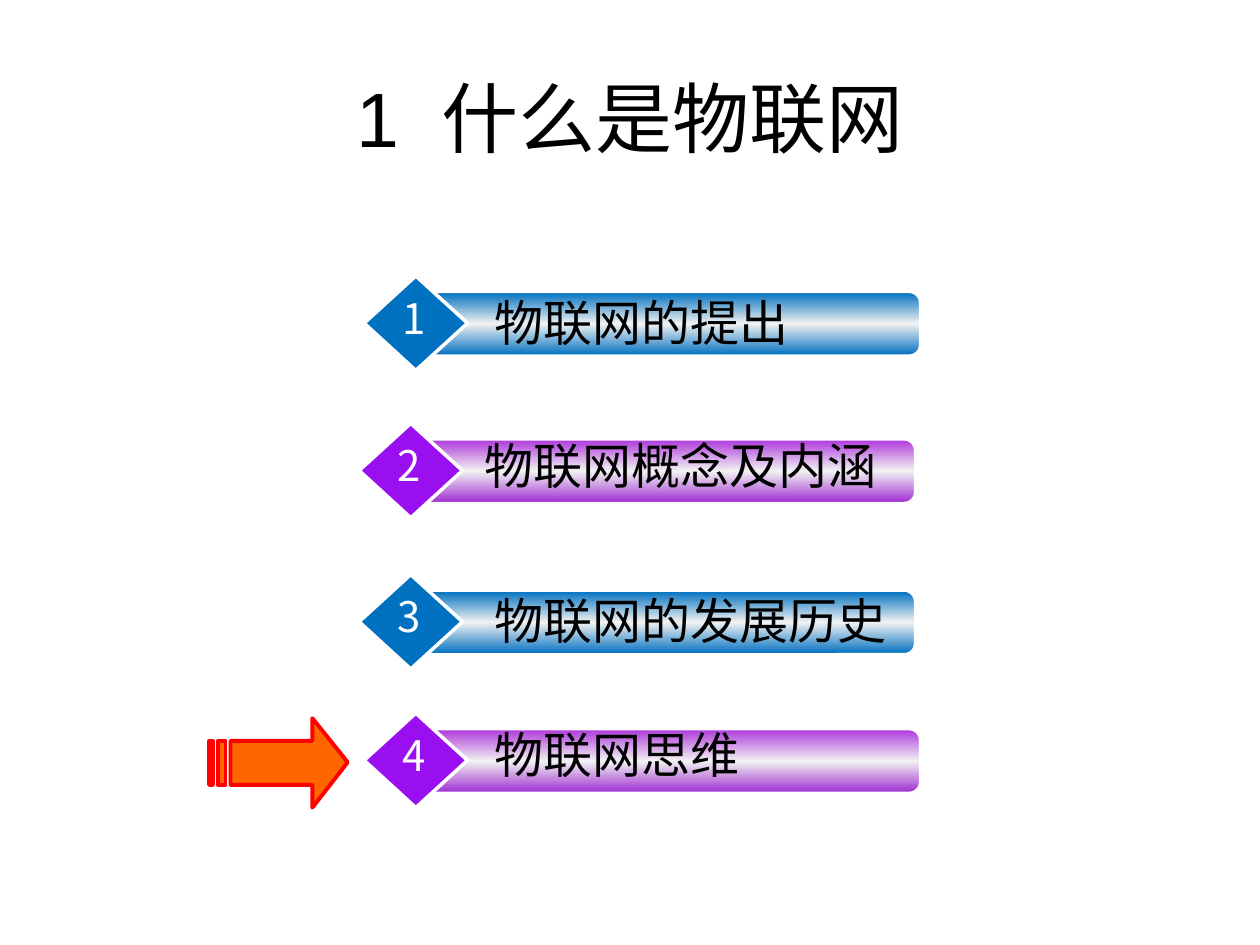
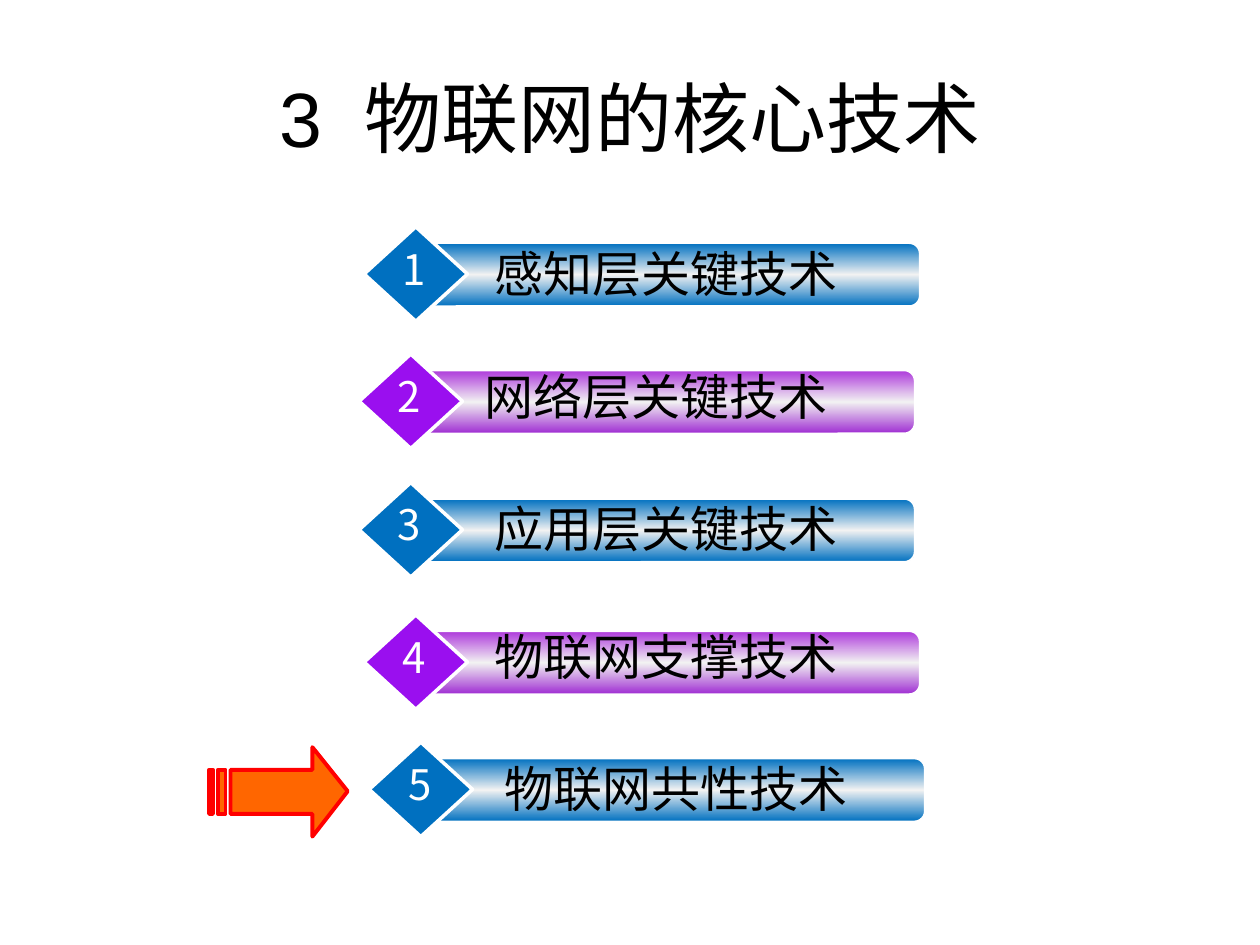
import copy

import pptx
import pptx.dml.color
import pptx.enum.shapes
import pptx.enum.text
import pptx.oxml
import pptx.oxml.ns
import pptx.util

Inches = pptx.util.Inches
Pt = pptx.util.Pt
SHAPE = pptx.enum.shapes.MSO_SHAPE

COLOURS = {
    "text": "000000",
    "white": "FFFFFF",
    "blue": "0070C0",
    "purple": "9A0FEF",
    "purple_top": "AD39DB",
    "purple_bottom": "9F2ED2",
    "shine": "F2F2F2",
    "arrow": "FF6600",
    "arrow_edge": "FF0000",
}
LATIN_FONT = "Arial"
CHINESE_FONT = "Noto Sans CJK SC"

SCHEMES = [
    ("blue", ("blue", "shine", "blue")),
    ("purple", ("purple_top", "shine", "purple_bottom")),
]
ROW_LEFTS = [2.89, 2.85, 2.85, 2.89, 2.93]
LABEL_OFFSETS = [(0.94, 0.08), (0.9, 0.05), (0.98, 0.08), (0.94, 0.04), (0.98, 0.08)]

ARROW_LEFT = 1.66
ARROW_DROP = 0.04
ARROW_HEAD = [(82, 0), (82, 18), (17, 18), (17, 53), (82, 53), (82, 71), (110, 35)]
ARROW_STRIPES = [(7, 13), (0, 3)]

AGENDAS = [
    ("1", "什么是物联网", [
        (2.19, "物联网的提出"),
        (3.36, "物联网概念及内涵"),
        (4.56, "物联网的发展历史"),
        (5.66, "物联网思维"),
    ]),
    ("3", "物联网的核心技术", [
        (1.8, "感知层关键技术"),
        (2.81, "网络层关键技术"),
        (3.83, "应用层关键技术"),
        (4.88, "物联网支撑技术"),
        (5.89, "物联网共性技术"),
    ]),
]


def colour(name):
    """Return the named colour."""
    return pptx.dml.color.RGBColor.from_string(COLOURS[name])


def set_font(para, size, font_name, colour_name):
    """Set the size, fonts and colour of a paragraph."""
    para.font.size = Pt(size)
    para.font.name = font_name
    para.font.color.rgb = colour(colour_name)
    latin = para._p.pPr.find(".//" + pptx.oxml.ns.qn("a:latin"))
    latin.addnext(pptx.oxml.parse_xml(
        f'<a:ea {pptx.oxml.ns.nsdecls("a")} typeface="{CHINESE_FONT}"/>'))


def add_text(shapes, box, text, size, font_name, colour_name, wrap=True):
    """Add a one-paragraph text box and return its shape."""
    text_box = shapes.add_textbox(*map(Inches, box))
    text_box.text_frame.word_wrap = wrap
    para = text_box.text_frame.paragraphs[0]
    para.text = text
    set_font(para, size, font_name, colour_name)
    return text_box


def set_outline(shape, colour_name, width):
    """Give a shape a plain outline without a shadow."""
    shape.shadow.inherit = False
    shape.line.color.rgb = colour(colour_name)
    shape.line.width = Pt(width)


def add_title(page, number, title):
    """Add the centred title with a wide gap after its number."""
    text_box = add_text(page.shapes, (0.5, 0.3, 9, 1.25), number, 44, LATIN_FONT, "text")
    text_box.text_frame.vertical_anchor = pptx.enum.text.MSO_ANCHOR.MIDDLE
    para = text_box.text_frame.paragraphs[0]
    para.alignment = pptx.enum.text.PP_ALIGN.CENTER
    gap = para.add_run()
    gap.text = " "
    gap._r.get_or_add_rPr().set("spc", "1200")
    para.add_run().text = title


def fill_gradient(shape, colour_names):
    """Fill a shape from top to bottom with three evenly spaced colours."""
    shape.fill.gradient()
    shape.fill.gradient_angle = 270
    first_stop = shape._element.spPr.find(".//" + pptx.oxml.ns.qn("a:gs"))
    first_stop.addnext(copy.deepcopy(first_stop))
    for index, (stop, name) in enumerate(zip(shape.fill.gradient_stops, colour_names)):
        stop.position = index / 2
        stop.color.rgb = colour(name)


def add_row(page, index, top, label):
    """Add one agenda row: a glossy bar, a numbered diamond and a label."""
    left = ROW_LEFTS[index]
    label_right, label_down = LABEL_OFFSETS[index]
    diamond_colour, bar_colours = SCHEMES[index % 2]
    shapes = page.shapes.add_group_shape().shapes

    bar = shapes.add_shape(SHAPE.ROUNDED_RECTANGLE,
                           *map(Inches, (left + 0.46, top + 0.13, 3.95, 0.5)))
    bar.adjustments[0] = 0.167
    fill_gradient(bar, bar_colours)
    set_outline(bar, "white", 1)

    diamond = shapes.add_shape(SHAPE.DIAMOND, *map(Inches, (left, top, 0.82, 0.75)))
    diamond.fill.solid()
    diamond.fill.fore_color.rgb = colour(diamond_colour)
    set_outline(diamond, "white", 2)

    add_text(shapes, (left + label_right, top + label_down, 3.44, 0.57),
             label, 28, LATIN_FONT, "text")
    add_text(shapes, (left + 0.21, top + 0.08, 0.37, 0.51),
             str(index + 1), 24, CHINESE_FONT, "white", wrap=False)


def add_arrow(page, left, top):
    """Add the striped arrow that points at the current row."""
    outlines = [ARROW_HEAD] + [
        [(start, 18), (start, 53), (end, 53), (end, 18)] for start, end in ARROW_STRIPES]
    builder = page.shapes.build_freeform(*ARROW_HEAD[0], scale=Inches(0.01))
    for index, (first, *rest) in enumerate(outlines):
        if index:
            builder.move_to(*first)
        builder.add_line_segments(rest, close=True)
    arrow = builder.convert_to_shape(Inches(left), Inches(top))
    arrow.fill.solid()
    arrow.fill.fore_color.rgb = colour("arrow")
    set_outline(arrow, "arrow_edge", 2.25)


def add_agenda(deck, number, title, rows):
    """Add an agenda page whose arrow marks the last row."""
    page = deck.slides.add_slide(deck.slide_layouts[6])
    add_title(page, number, title)
    for index, (top, label) in enumerate(rows):
        add_row(page, index, top, label)
    last_top = rows[-1][0]
    add_arrow(page, ARROW_LEFT, last_top + ARROW_DROP)


def main():
    """Build the deck and save it."""
    deck = pptx.Presentation()
    deck.slide_width = Inches(10)
    deck.slide_height = Inches(7.5)
    for agenda in AGENDAS:
        add_agenda(deck, *agenda)
    deck.save("out.pptx")


if __name__ == "__main__":
    main()
